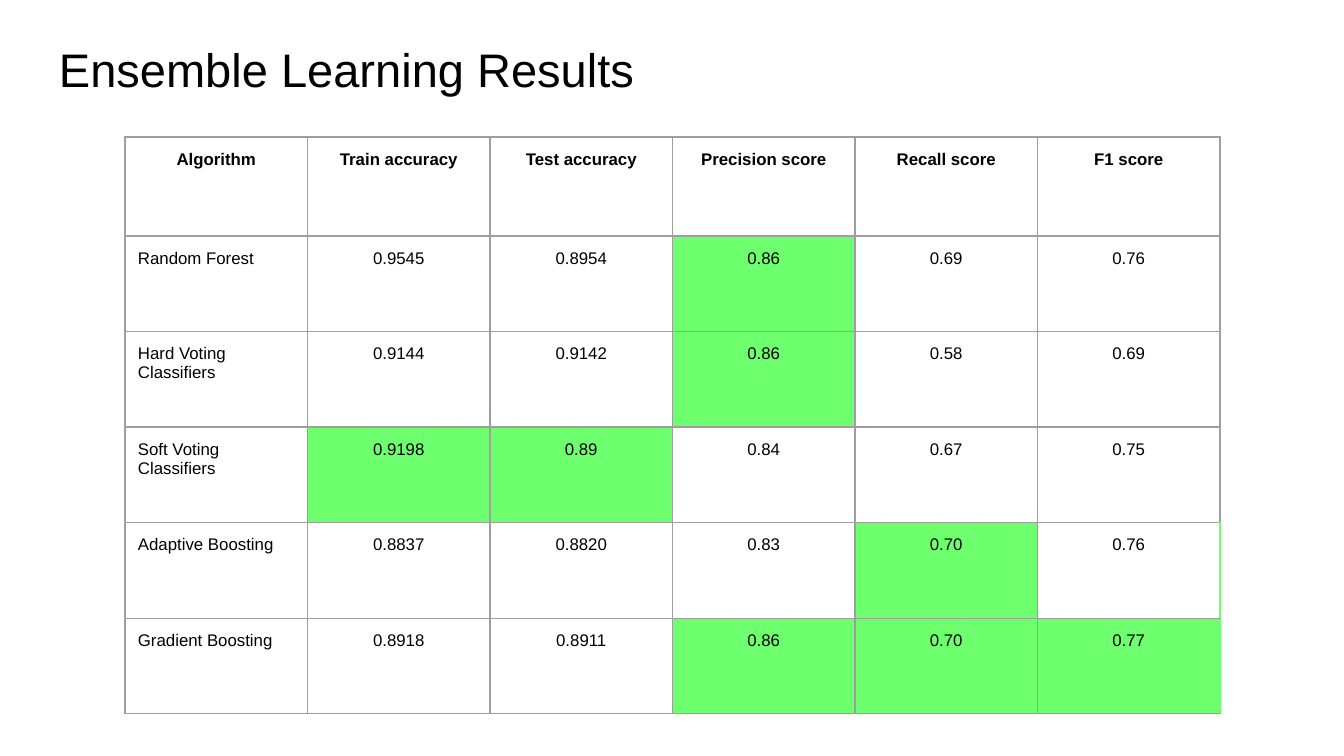
from lxml.etree import SubElement
from pptx import Presentation
from pptx.dml.color import RGBColor
from pptx.enum.text import MSO_ANCHOR, PP_ALIGN
from pptx.oxml.ns import qn
from pptx.util import Emu, Pt

PX = 914400 / 134.4
FONT = "Arial"
BLACK = RGBColor(0x00, 0x00, 0x00)
GREY = RGBColor(0x9E, 0x9E, 0x9E)
GREEN = RGBColor(0x6E, 0xFF, 0x6E)
INSET = 13

HEADER = ["Algorithm", "Train accuracy", "Test accuracy",
          "Precision score", "Recall score", "F1 score"]
RESULTS = [
    ["Random Forest", "0.9545", "0.8954", "0.86", "0.69", "0.76"],
    ["Hard Voting Classifiers", "0.9144", "0.9142", "0.86", "0.58", "0.69"],
    ["Soft Voting Classifiers", "0.9198", "0.89", "0.84", "0.67", "0.75"],
    ["Adaptive Boosting", "0.8837", "0.8820", "0.83", "0.70", "0.76"],
    ["Gradient Boosting", "0.8918", "0.8911", "0.86", "0.70", "0.77"],
]
# Table positions as (row, column), counted from the header cell
HIGHLIGHTS = {(1, 3), (2, 3), (3, 1), (3, 2), (4, 4), (5, 3), (5, 4), (5, 5)}
GREEN_RIGHT_EDGES = {(4, 5), (5, 5)}


def px(length):
    return Emu(round(length * PX))


class SlideBuilder:
    def __init__(self, slide):
        self.slide = slide

    def style_text(self, paragraph, size, bold=False, align=PP_ALIGN.LEFT):
        paragraph.alignment = align
        font = paragraph.font
        font.name, font.size, font.bold = FONT, Pt(size), bold
        font.color.rgb = BLACK

    def set_insets(self, holder):
        """Give a text frame or table cell equal margins on all sides."""
        holder.margin_left = holder.margin_right = px(INSET)
        holder.margin_top = holder.margin_bottom = px(INSET)

    def title(self, text, left, top, width, height):
        box = self.slide.shapes.add_textbox(px(left), px(top), px(width), px(height))
        frame = box.text_frame
        frame.word_wrap = True
        frame.vertical_anchor = MSO_ANCHOR.MIDDLE
        self.set_insets(frame)
        frame.text = text
        self.style_text(frame.paragraphs[0], 25.2)

    def borders(self, cell, right_color):
        properties = cell._tc.get_or_add_tcPr()
        colors = {"a:lnL": GREY, "a:lnR": right_color, "a:lnT": GREY, "a:lnB": GREY}
        for tag, color in colors.items():
            line = SubElement(properties, qn(tag), w=str(Pt(0.75)))
            fill = SubElement(line, qn("a:solidFill"))
            SubElement(fill, qn("a:srgbClr"), val=str(color))

    def cell(self, cell, text, row, column):
        cell.text = text
        cell.vertical_anchor = MSO_ANCHOR.TOP
        self.set_insets(cell)
        is_header = row == 0
        is_name = column == 0 and not is_header
        align = PP_ALIGN.LEFT if is_name else PP_ALIGN.CENTER
        self.style_text(cell.text_frame.paragraphs[0], 9, is_header, align)
        # Borders precede the fill in the cell properties
        right_color = GREEN if (row, column) in GREEN_RIGHT_EDGES else GREY
        self.borders(cell, right_color)
        if (row, column) in HIGHLIGHTS:
            cell.fill.solid()
            cell.fill.fore_color.rgb = GREEN
        else:
            cell.fill.background()

    def table(self, rows, left, top, width, header_height, body_height):
        frame = self.slide.shapes.add_table(
            len(rows), len(rows[0]), px(left), px(top),
            px(width), px(header_height + body_height))
        table = frame.table
        table.first_row = table.horz_banding = False
        for column in table.columns:
            column.width = px(width / len(rows[0]))
        for row in table.rows:
            row.height = px(body_height / (len(rows) - 1))
        table.rows[0].height = px(header_height)
        for row_index, values in enumerate(rows):
            for column_index, text in enumerate(values):
                self.cell(table.cell(row_index, column_index), text,
                          row_index, column_index)


def main():
    presentation = Presentation()
    presentation.slide_width, presentation.slide_height = px(1344), px(756)
    builder = SlideBuilder(presentation.slides.add_slide(presentation.slide_layouts[6]))
    builder.title("Ensemble Learning Results", 46, 27, 1252, 84)
    builder.table([HEADER] + RESULTS, 125, 137, 1095, 99, 478)
    presentation.save("out.pptx")


if __name__ == "__main__":
    main()
